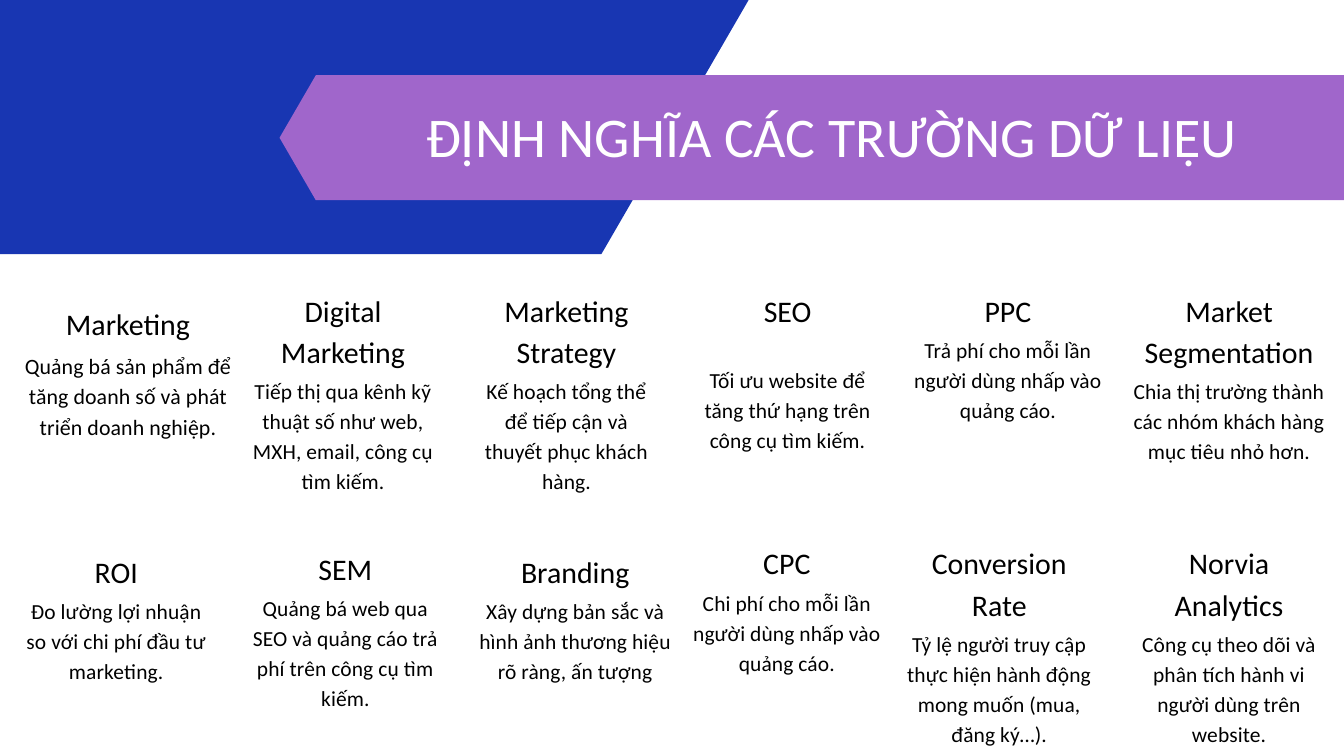
"""Build a slide that defines twelve marketing data fields."""
import dataclasses

import pptx
import pptx.dml.color
import pptx.enum.text
import pptx.util

Inches = pptx.util.Inches


@dataclasses.dataclass(frozen=True)
class Theme:
    font: str = "Calibri"
    blue: str = "1836B2"
    purple: str = "A066CB"
    white: str = "FFFFFF"
    black: str = "000000"
    title_size: float = 60
    heading_size: float = 32
    body_size: float = 23
    large_body_size: float = 23.4
    title_leading: float = 1.1
    text_leading: float = 1.4
    body_tracking: int = 10


@dataclasses.dataclass(frozen=True)
class Definition:
    left: float
    top: float
    width: float
    heading: str
    heading_lines: int
    body: str
    body_lines: int
    body_gap: float = 0.1
    large: bool = False


DEFINITIONS = [
    Definition(0.18, 4.46, 3.45, "Marketing", 1,
               "Quảng bá sản phẩm để tăng doanh số và phát triển doanh nghiệp.", 3, 0.13, True),
    Definition(3.63, 4.26, 2.95, "Digital Marketing", 2,
               "Tiếp thị qua kênh kỹ thuật số như web, MXH, email, công cụ tìm kiếm.", 4),
    Definition(7.1, 4.26, 2.66, "Marketing Strategy", 2,
               "Kế hoạch tổng thể để tiếp cận và thuyết phục khách hàng.", 4),
    Definition(10.28, 4.26, 2.88, "SEO", 1,
               "Tối ưu website để tăng thứ hạng trên công cụ tìm kiếm.", 3, 0.55),
    Definition(13.56, 4.26, 2.88, "PPC", 1,
               "Trả phí cho mỗi lần người dùng nhấp vào quảng cáo.", 3),
    Definition(16.85, 4.26, 2.88, "Market Segmentation", 2,
               "Chia thị trường thành các nhóm khách hàng mục tiêu nhỏ hơn.", 3),
    Definition(0.29, 8.15, 2.88, "ROI", 1,
               "Đo lường lợi nhuận so với chi phí đầu tư marketing.", 3),
    Definition(3.7, 8.1, 2.88, "SEM", 1,
               "Quảng bá web qua SEO và quảng cáo trả phí trên công cụ tìm kiếm.", 4),
    Definition(7.12, 8.15, 2.88, "Branding", 1,
               "Xây dựng bản sắc và hình ảnh thương hiệu rõ ràng, ấn tượng", 3),
    Definition(10.27, 8.02, 2.88, "CPC", 1,
               "Chi phí cho mỗi lần người dùng nhấp vào quảng cáo.", 3),
    Definition(13.43, 8.02, 2.88, "Conversion Rate", 2,
               "Tỷ lệ người truy cập thực hiện hành động mong muốn (mua, đăng ký…).", 4),
    Definition(16.85, 8.02, 2.88, "Norvia Analytics", 2,
               "Công cụ theo dõi và phân tích hành vi người dùng trên website.", 4),
]


class SlideBuilder:
    """Draw themed elements on one slide."""

    def __init__(self, slide, theme):
        self.slide = slide
        self.theme = theme

    def hexagon(self, left, top, width, height, inset, color):
        right, bottom, middle = left + width, top + height, top + height / 2
        corners = [(left + inset, top), (right - inset, top), (right, middle),
                   (right - inset, bottom), (left + inset, bottom), (left, middle)]
        points = [(Inches(x), Inches(y)) for x, y in corners]
        builder = self.slide.shapes.build_freeform(*points[0])
        builder.add_line_segments(points[1:], close=True)
        shape = builder.convert_to_shape()
        shape.shadow.inherit = False
        shape.fill.solid()
        shape.fill.fore_color.rgb = pptx.dml.color.RGBColor.from_string(color)
        shape.line.fill.background()

    def text(self, left, top, width, height, words, size, leading, color, alignment, tracking=0):
        shape = self.slide.shapes.add_textbox(
            Inches(left), Inches(top), Inches(width), Inches(height))
        frame = shape.text_frame
        frame.word_wrap = True
        frame.auto_size = pptx.enum.text.MSO_AUTO_SIZE.SHAPE_TO_FIT_TEXT
        frame.margin_left = frame.margin_top = frame.margin_right = frame.margin_bottom = 0
        paragraph = frame.paragraphs[0]
        paragraph.alignment = alignment
        paragraph.line_spacing = pptx.util.Pt(round(size * leading, 1))
        run = paragraph.add_run()
        run.text = words
        run.font.name = self.theme.font
        run.font.size = pptx.util.Pt(size)
        run.font.color.rgb = pptx.dml.color.RGBColor.from_string(color)
        if tracking:
            run.font._element.set("spc", str(tracking))

    def title(self, left, top, width, height, words):
        theme = self.theme
        self.text(left, top, width, height, words, theme.title_size, theme.title_leading,
                  theme.white, pptx.enum.text.PP_ALIGN.RIGHT)

    def definition(self, item):
        theme = self.theme
        center = pptx.enum.text.PP_ALIGN.CENTER
        body_size = theme.large_body_size if item.large else theme.body_size
        heading_height = 0.59 + 0.61 * (item.heading_lines - 1)
        body_height = item.body_lines * body_size * theme.text_leading / 72
        self.text(item.left, item.top, item.width, heading_height, item.heading,
                  theme.heading_size, theme.text_leading, theme.black, center)
        self.text(item.left, item.top + heading_height + item.body_gap, item.width, body_height,
                  item.body, body_size, theme.text_leading, theme.black, center,
                  theme.body_tracking)


def main():
    theme = Theme()
    presentation = pptx.Presentation()
    presentation.slide_width = Inches(20)
    presentation.slide_height = Inches(11.25)
    slide = presentation.slides.add_slide(presentation.slide_layouts[6])
    builder = SlideBuilder(slide, theme)
    builder.hexagon(-2.48, -3.78, 13.62, 7.56, 2.19, theme.blue)
    builder.hexagon(4.16, 1.12, 16.45, 1.86, 0.54, theme.purple)
    builder.title(5.11, 1.6, 13.3, 0.96, "ĐỊNH NGHĨA CÁC TRƯỜNG DỮ LIỆU")
    for item in DEFINITIONS:
        builder.definition(item)
    presentation.save("out.pptx")


if __name__ == "__main__":
    main()
